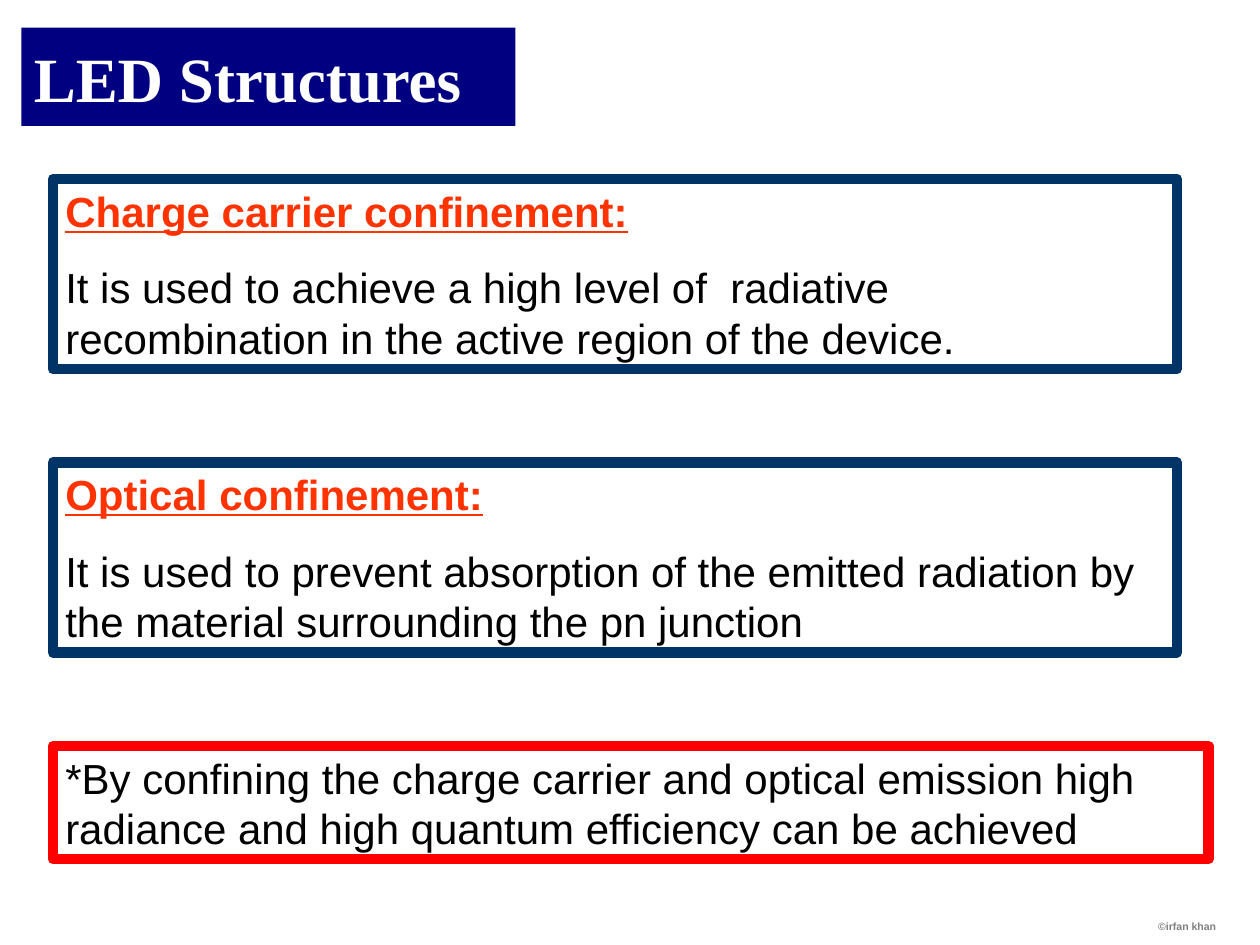
"""Build the LED Structures slide on charge carrier and optical confinement."""
from pptx import Presentation
from pptx.dml.color import RGBColor
from pptx.enum.shapes import MSO_SHAPE
from pptx.enum.text import MSO_ANCHOR, MSO_AUTO_SIZE, PP_ALIGN
from pptx.util import Inches, Pt

NAVY = RGBColor(0x00, 0x00, 0x80)
BLUE = RGBColor(0x00, 0x33, 0x66)
RED = RGBColor(0xFF, 0x00, 0x00)
ORANGE = RGBColor(0xFF, 0x33, 0x00)
BLACK = RGBColor(0x00, 0x00, 0x00)
WHITE = RGBColor(0xFF, 0xFF, 0xFF)
GREY = RGBColor(0x80, 0x80, 0x80)

TITLE = "LED Structures"
CREDIT = "©irfan khan"
BOXES = [
    ("Charge carrier confinement:",
     "It is used to achieve a high level of  radiative recombination "
     "in the active region of the device.", 8.92, 1.51, BLUE),
    ("Optical confinement:",
     "It is used to prevent absorption of the emitted radiation by "
     "the material surrounding the pn junction", 8.92, 1.51, BLUE),
    (None,
     "*By confining the charge carrier and optical emission high radiance "
     "and high quantum efficiency can be achieved", 9.17, 0.9, RED),
]
BOX_LEFT, BOX_TOP, BOX_STEP = 0.42, 1.42, 2.25


def style(p, size, color, name="Arial", bold=False, underline=False,
          align=PP_ALIGN.LEFT):
    p.alignment = align
    font = p.runs[0].font
    font.name, font.size, font.bold = name, Pt(size), bold
    font.underline = underline
    font.color.rgb = color


def add_rect(s, left, top, width, height):
    sp = s.shapes.add_shape(MSO_SHAPE.RECTANGLE, Inches(left), Inches(top),
                            Inches(width), Inches(height))
    sp.shadow.inherit = False
    sp.text_frame.word_wrap = True
    return sp


def add_title(s):
    sp = add_rect(s, 0.17, 0.22, 3.92, 0.78)
    sp.fill.solid()
    sp.fill.fore_color.rgb = NAVY
    sp.line.fill.background()
    tf = sp.text_frame
    tf.vertical_anchor = MSO_ANCHOR.MIDDLE
    tf.text = TITLE
    style(tf.paragraphs[0], 36, WHITE, "Times New Roman", bold=True)


def add_box(s, top, heading, body, width, height, color):
    sp = add_rect(s, BOX_LEFT, top, width, height)
    sp.fill.background()
    sp.line.color.rgb = color
    sp.line.width = Pt(6)
    tf = sp.text_frame
    tf.vertical_anchor = MSO_ANCHOR.TOP
    tf.auto_size = MSO_AUTO_SIZE.SHAPE_TO_FIT_TEXT
    p = tf.paragraphs[0]
    if heading:
        p.text = heading
        style(p, 24, ORANGE, bold=True, underline=True)
        p = tf.add_paragraph()
        p.space_before = Pt(15)
    p.text = body
    style(p, 24, BLACK)


def add_credit(s):
    sp = s.shapes.add_textbox(Inches(6.58), Inches(7.25), Inches(3.17), Inches(0.2))
    tf = sp.text_frame
    tf.word_wrap = True
    tf.text = CREDIT
    style(tf.paragraphs[0], 6, GREY, bold=True, align=PP_ALIGN.RIGHT)


def main():
    prs = Presentation()
    prs.slide_width, prs.slide_height = Inches(10), Inches(7.5)
    s = prs.slides.add_slide(prs.slide_layouts[6])
    add_credit(s)
    add_title(s)
    for i, box in enumerate(BOXES):
        add_box(s, BOX_TOP + i * BOX_STEP, *box)
    prs.save("out.pptx")


if __name__ == "__main__":
    main()
